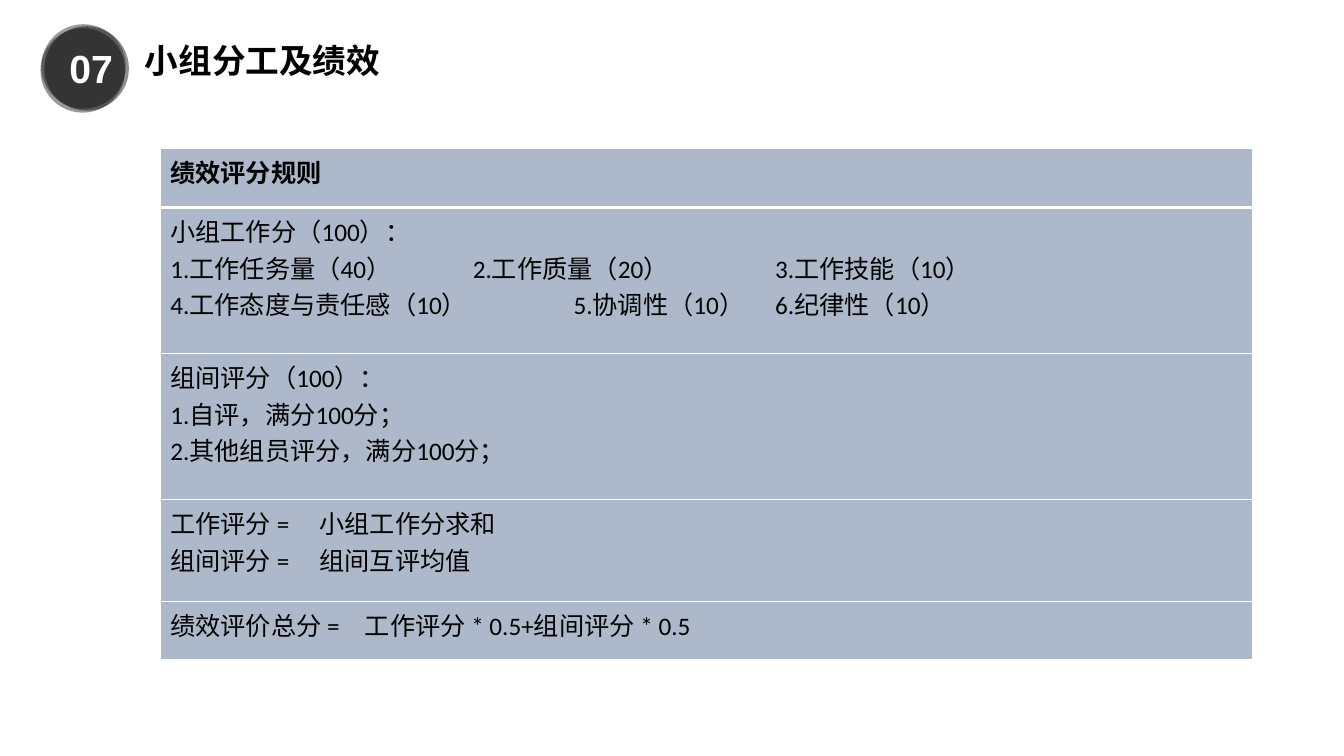
from lxml import etree
from pptx import Presentation
from pptx.dml.color import RGBColor
from pptx.enum.shapes import MSO_SHAPE as Preset
from pptx.enum.text import MSO_ANCHOR as Anchor, MSO_AUTO_SIZE as AutoSize, PP_ALIGN as Align
from pptx.oxml.ns import qn
from pptx.util import Cm, Pt

COLORS = {"black": "000000", "white": "FFFFFF", "cell": "ADB9CA"}
FORMATS = {
    "number": {"name": "Arial", "size": Pt(28), "bold": True},
    "title": {"name": "Arial", "size": Pt(24), "bold": True},
    "header": {"name": "Calibri", "size": Pt(18), "bold": True},
    "body": {"name": "Calibri", "size": Pt(18), "bold": False},
}


def write(para, text, style, color="black"):
    span = para.add_run()
    span.text = text
    for name, value in FORMATS[style].items():
        setattr(span.font, name, value)
    span.font.color.rgb = RGBColor.from_string(COLORS[color])


def add_solid(parent, color):
    fill = etree.SubElement(parent, qn("a:solidFill"))
    return etree.SubElement(fill, qn("a:srgbClr"), val=COLORS[color])


deck = Presentation()
deck.slide_width, deck.slide_height = Cm(33.87), Cm(19.05)
page = deck.slides.add_slide(deck.slide_layouts[5])

# Badge of three translucent discs
badge = page.shapes.add_group_shape()
for left, top, opacity in [(1.04, 0.61, 39), (1.12, 0.66, 44), (1.02, 0.71, 40)]:
    disc = badge.shapes.add_shape(Preset.OVAL, Cm(left), Cm(top), Cm(2.13), Cm(2.13))
    disc.shadow.inherit = False
    disc.line.fill.background()
    disc.fill.solid()
    disc.fill.fore_color.rgb = RGBColor.from_string(COLORS["black"])
    shade = disc.fill._xPr.find(qn("a:solidFill"))[0]
    etree.SubElement(shade, qn("a:alpha"), val=str(opacity * 1000))

# Section number and title
number = page.shapes.add_textbox(Cm(0.86), Cm(0.99), Cm(2.87), Cm(1.45))
number.text_frame.word_wrap = True
number.text_frame.paragraphs[0].alignment = Align.CENTER
write(number.text_frame.paragraphs[0], "07", "number", "white")

title = page.shapes.title
title.left, title.top, title.width, title.height = Cm(3.35), Cm(0.89), Cm(6.53), Cm(1.27)
title.text_frame.word_wrap = False
title.text_frame.auto_size = AutoSize.NONE
title.text_frame.vertical_anchor = Anchor.TOP
title.text_frame.paragraphs[0].alignment = Align.CENTER
write(title.text_frame.paragraphs[0], "小组分工及绩效", "title")

# Scoring rules: row height, then lines with their tab stops in cm
rules = [
    (1.5, [("绩效评分规则", [])]),
    (3.68, [("小组工作分（100）：", []),
            ("1.工作任务量（40）\t2.工作质量（20）\t3.工作技能（10）", [7.62, 15.24]),
            ("4.工作态度与责任感（10）\t5.协调性（10）\t6.纪律性（10）", [10.16, 15.24])]),
    (3.68, [("组间评分（100）：", []),
            ("1.自评，满分100分；", []),
            ("2.其他组员评分，满分100分；", [])]),
    (2.57, [("工作评分 =\t小组工作分求和", [3.76]),
            ("组间评分 =\t组间互评均值", [3.76])]),
    (1.47, [("绩效评价总分 =\t工作评分 * 0.5+组间评分 * 0.5", [4.9])]),
]
total = sum(height for height, lines in rules)
table = page.shapes.add_table(len(rules), 1, Cm(4.04), Cm(3.73), Cm(27.53), Cm(total)).table
table.horz_banding = False

for index, (height, lines) in enumerate(rules):
    table.rows[index].height = Cm(height)
    cell = table.cell(index, 0)
    cell.fill.solid()
    cell.fill.fore_color.rgb = RGBColor.from_string(COLORS["cell"])

    # White borders, thicker below the header
    widths = {"lnL": 1, "lnR": 1, "lnT": 3 if index == 1 else 1, "lnB": 3 if index == 0 else 1}
    properties = cell._tc.get_or_add_tcPr()
    for place, (side, width) in enumerate(widths.items()):
        border = etree.Element(qn("a:" + side), w=str(Pt(width)))
        add_solid(border, "white")
        properties.insert(place, border)

    for order, (text, stops) in enumerate(lines):
        frame = cell.text_frame
        para = frame.add_paragraph() if order else frame.paragraphs[0]
        write(para, text, "body" if index else "header")
        if stops:
            tabs = etree.SubElement(para._p.get_or_add_pPr(), qn("a:tabLst"))
            for stop in stops:
                etree.SubElement(tabs, qn("a:tab"), pos=str(Cm(stop)), algn="l")

deck.save("out.pptx")
